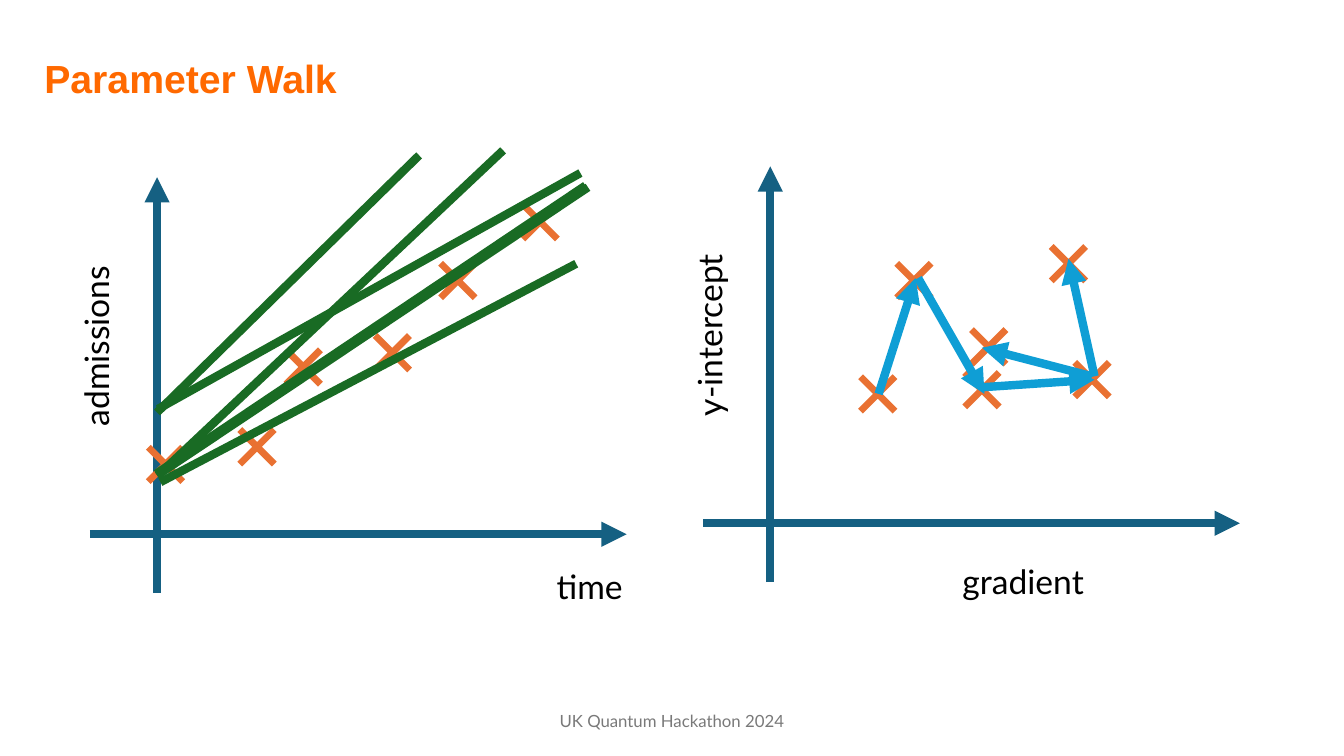
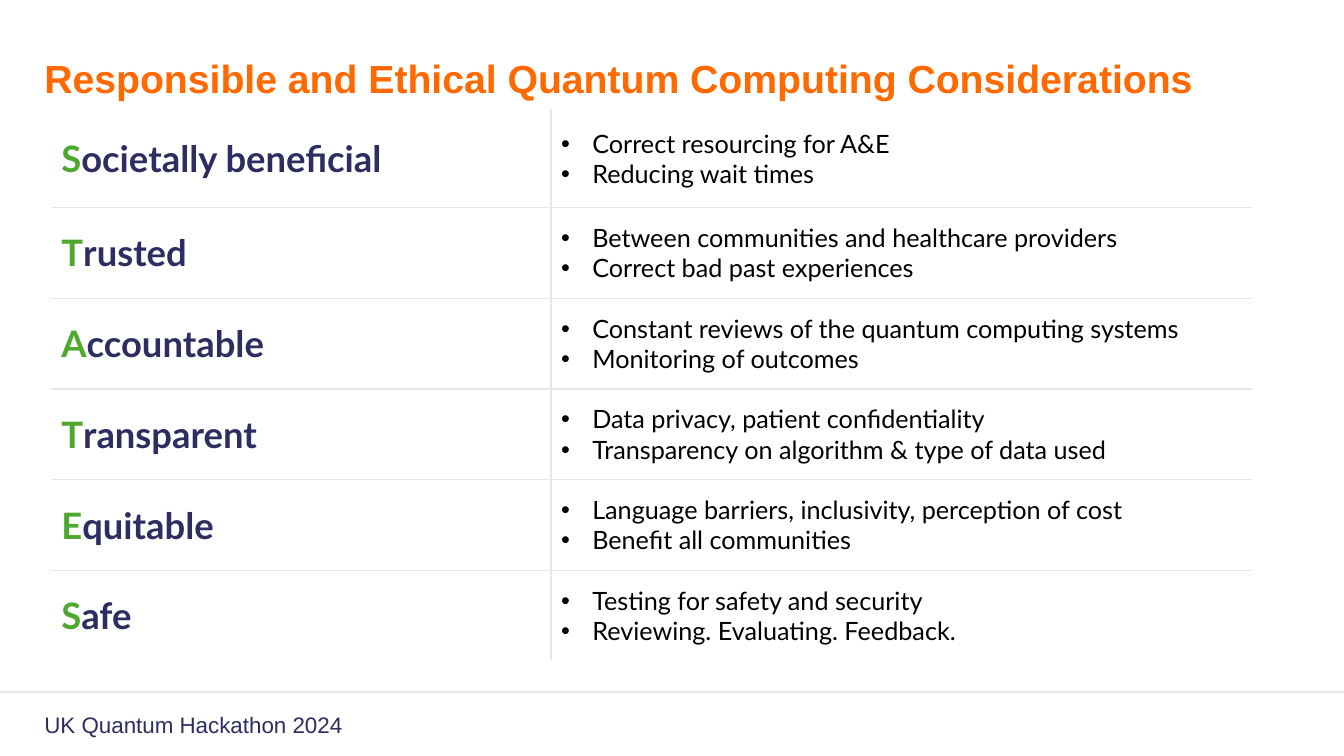
from itertools import pairwise, product

from pptx import Presentation
from pptx.dml.color import RGBColor
from pptx.enum.shapes import MSO_CONNECTOR as Connector, MSO_SHAPE as Preset
from pptx.enum.text import MSO_ANCHOR as Anchor, PP_ALIGN as Align
from pptx.oxml.ns import qn
from pptx.oxml.xmlchemy import OxmlElement
from pptx.util import Inches, Pt

GRID_COLUMNS, GRID_ROWS = 160, 90
WIDTH, HEIGHT = Inches(13.333), Inches(7.5)

COLORS = {
    "title": "FF6900",
    "footer": "797979",
    "navy": "2E2D62",
    "initial": "4EA72E",
    "text": "000000",
    "axis": "156082",
    "cross": "E97132",
    "fit": "196B24",
    "step": "0F9ED5",
    "rule": "E8E8E8",
    "border": "E6E6E6",
    "white": "FFFFFF",
}

EVENT = "UK Quantum Hackathon 2024"
CROSS_SIZE = 5.8
LABEL_HEIGHT = 6

ADMISSIONS_ORIGIN = (18.7, 63.6)
ADMISSIONS = [(1, 8.3), (11.9, 10.4), (17.4, 19.9), (28, 21.6), (35.8, 30.2), (45.6, 37.2)]
FITS = [
    ((0.4, 6.2), (49.9, 32.2)),
    ((0.1, 14.9), (50.4, 43)),
    ((0, 7), (51.3, 41.3)),
    ((0.1, 7), (41.2, 45.7)),
    ((0, 14.5), (31.2, 45.1)),
    ((-0.1, 7.2), (51, 41.5)),
]

PARAMETER_ORIGIN = (91.7, 62.3)
PARAMETERS = [(12.8, 15.4), (17.1, 28.9), (25.2, 15.9), (38.3, 17.1), (35.5, 30.9), (26, 21)]
STEPS = [
    ((12.9, 15.4), (17.3, 29.2)),
    ((17.6, 29.2), (25.5, 15.4)),
    ((25.3, 16.2), (38.6, 17.1)),
    ((38.6, 17.5), (35.5, 31.5)),
    ((38.3, 17.5), (25.2, 20.9)),
]

PRINCIPLES = [
    ("Societally beneficial", "Correct resourcing for A&E\nReducing wait times"),
    ("Trusted", "Between communities and healthcare providers\nCorrect bad past experiences"),
    ("Accountable", "Constant reviews of the quantum computing systems\nMonitoring of outcomes"),
    ("Transparent", "Data privacy, patient confidentiality\nTransparency on algorithm & type of data used"),
    ("Equitable", "Language barriers, inclusivity, perception of cost\nBenefit all communities"),
    ("Safe", "Testing for safety and security\nReviewing. Evaluating. Feedback."),
]


def across(columns):
    return round(WIDTH * columns / GRID_COLUMNS)


def down(rows):
    return round(HEIGHT * rows / GRID_ROWS)


def place(left, top, width, height):
    return across(left), down(top), across(width), down(height)


def rgb(name):
    return RGBColor.from_string(COLORS[name])


def add_child(parent, tag, **attributes):
    child = OxmlElement(tag)
    for name, value in attributes.items():
        child.set(name, str(value))
    parent.append(child)
    return child


def add_bullet(paragraph):
    properties = paragraph._p.get_or_add_pPr()
    properties.set("marL", str(Inches(0.31)))
    properties.set("indent", str(-Inches(0.31)))
    add_child(properties, "a:buFont", typeface="Arial")
    add_child(properties, "a:buChar", char="•")


def write(frame, text, size=24, color="text", font="Lato", bold=False,
          align=Align.LEFT, bullet=False, initial=None):
    for index, line in enumerate(text.split("\n")):
        paragraph = frame.add_paragraph() if index else frame.paragraphs[0]
        paragraph.alignment = align
        if bullet:
            add_bullet(paragraph)
        pieces = [(line[0], initial), (line[1:], color)] if initial else [(line, color)]
        for piece, piece_color in pieces:
            run = paragraph.add_run()
            run.text = piece
            run.font.size = Pt(size)
            run.font.name = font
            run.font.bold = bold
            run.font.color.rgb = rgb(piece_color)


def add_text(slide, text, box, rotation=0, anchor=Anchor.TOP, wrap=True, **style):
    shape = slide.shapes.add_textbox(*place(*box))
    shape.rotation = rotation
    shape.text_frame.word_wrap = wrap
    shape.text_frame.vertical_anchor = anchor
    write(shape.text_frame, text, **style)


def add_title(slide, text):
    add_text(slide, text, (4.1, 5.9, 152, 6.8), size=28, color="title", font="Arial", bold=True)


def add_line(slide, start, end, color, width=6, arrow=False):
    connector = slide.shapes.add_connector(
        Connector.STRAIGHT, across(start[0]), down(start[1]), across(end[0]), down(end[1]))
    connector.line.color.rgb = rgb(color)
    connector.line.width = Pt(width)
    properties = connector.element.spPr
    if arrow:
        add_child(properties.find(qn("a:ln")), "a:tailEnd", type="triangle")
    add_child(properties, "a:effectLst")


def from_origin(origin, point):
    return origin[0] + point[0], origin[1] - point[1]


def add_plot_line(slide, origin, start, end, color, arrow=False):
    add_line(slide, from_origin(origin, start), from_origin(origin, end), color, arrow=arrow)


def add_cross(slide, center):
    left, top = (value - CROSS_SIZE / 2 for value in center)
    shape = slide.shapes.add_shape(Preset.CROSS, *place(left, top, CROSS_SIZE, CROSS_SIZE))
    shape.adjustments[0] = 0.43
    shape.rotation = 45
    shape.shadow.inherit = False
    shape.fill.solid()
    shape.fill.fore_color.rgb = rgb("cross")
    shape.line.fill.background()


def add_plot(slide, origin, points, x_label, x_label_at, x_label_width, y_label):
    add_plot_line(slide, origin, (0, -7), (0, 42.5), "axis", arrow=True)
    add_plot_line(slide, origin, (-8, 0), (55.9, 0), "axis", arrow=True)
    for point in points:
        add_cross(slide, from_origin(origin, point))
    labels = [(x_label, x_label_at, x_label_width, 0), (y_label, (-21.4, 25.4), 28.2, 270)]
    for text, corner, width, rotation in labels:
        box = (*from_origin(origin, corner), width, LABEL_HEIGHT)
        add_text(slide, text, box, rotation=rotation, align=Align.CENTER)


def set_borders(cell, outer_sides):
    properties = cell._tc.get_or_add_tcPr()
    for index, side in enumerate("LRTB"):
        line = add_child(properties, f"a:ln{side}", w=Pt(1))
        fill = add_child(line, "a:solidFill")
        add_child(fill, "a:srgbClr", val=COLORS["white" if side in outer_sides else "border"])
        properties.insert(index, line)


def add_principles_table(slide):
    column_widths = (59.5, 83.4)
    row_heights = (11.6,) + (10.8,) * (len(PRINCIPLES) - 1)
    table = slide.shapes.add_table(
        len(row_heights), len(column_widths),
        *place(6.1, 13.1, sum(column_widths), sum(row_heights))).table
    table.first_row = table.horz_banding = False
    for column, width in zip(table.columns, column_widths):
        column.width = across(width)
    for row, height in zip(table.rows, row_heights):
        row.height = down(height)
    styles = (
        {"size": 26, "color": "navy", "bold": True, "initial": "initial"},
        {"size": 18, "bullet": True},
    )
    last_row = len(row_heights) - 1
    for row, column in product(range(len(row_heights)), range(len(column_widths))):
        cell = table.cell(row, column)
        cell.vertical_anchor = Anchor.MIDDLE
        cell.fill.background()
        write(cell.text_frame, PRINCIPLES[row][column], **styles[column])
        vertical = {0: "T", last_row: "B"}.get(row, "")
        set_borders(cell, "LR"[column] + vertical)


def build_parameter_walk(slide):
    add_text(slide, EVENT, (53, 83.4, 54, 4.8), anchor=Anchor.MIDDLE,
             size=12, color="footer", align=Align.CENTER)
    add_plot(slide, ADMISSIONS_ORIGIN, ADMISSIONS, "time", (45.6, -3.2), 11.8, "admissions")
    add_plot(slide, PARAMETER_ORIGIN, PARAMETERS, "gradient", (20.4, -3.9), 19.4, "y-intercept")
    for start, end in FITS:
        add_plot_line(slide, ADMISSIONS_ORIGIN, start, end, "fit")
    for start, end in STEPS:
        add_plot_line(slide, PARAMETER_ORIGIN, start, end, "step", arrow=True)
    add_title(slide, "Parameter Walk")


def build_considerations(slide):
    add_title(slide, "Responsible and Ethical Quantum Computing Considerations")
    add_line(slide, (0, 82.4), (GRID_COLUMNS, 82.4), "rule", width=1)
    add_text(slide, EVENT, (4.1, 84.1, 38.3, 4.4), wrap=False,
             size=16, color="navy", font="Arial")
    add_principles_table(slide)


def main():
    presentation = Presentation()
    presentation.slide_width, presentation.slide_height = WIDTH, HEIGHT
    blank = presentation.slide_layouts[6]
    for build in (build_parameter_walk, build_considerations):
        build(presentation.slides.add_slide(blank))
    presentation.save("out.pptx")


if __name__ == "__main__":
    main()
